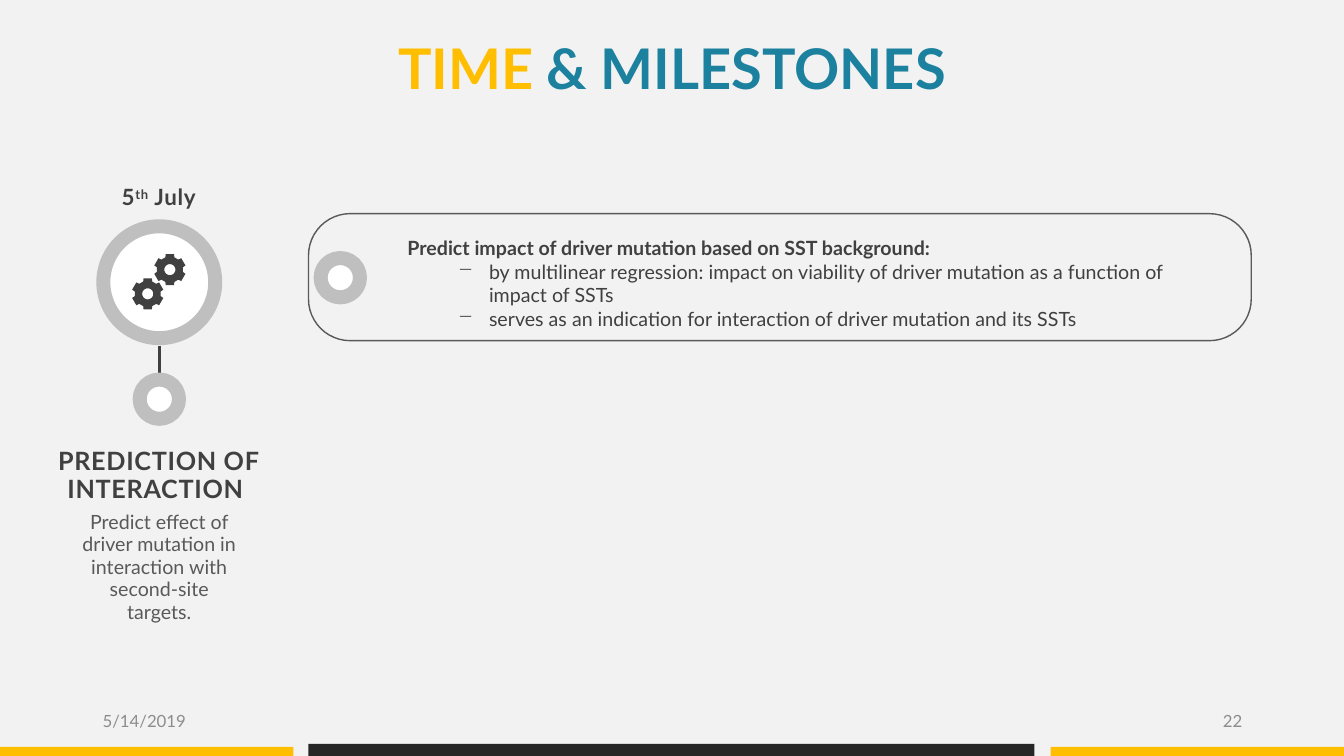
from math import cos, radians, sin

from lxml import etree
from pptx import Presentation
from pptx.dml.color import RGBColor
from pptx.enum.shapes import MSO_CONNECTOR as Connector, MSO_SHAPE as Shape
from pptx.enum.text import MSO_ANCHOR as Anchor, MSO_AUTO_SIZE as AutoSize, PP_ALIGN as Align
from pptx.oxml.ns import qn
from pptx.util import Inches, Pt

YELLOW, BLUE, BLACK = "FFBE00", "1C819E", "262626"
DARK, MID, MUTED, RING, WHITE = "404040", "595959", "8C8C8C", "BFBFBF", "FFFFFF"
MILESTONE_X = 1.58


def rgb(value):
    return RGBColor.from_string(value)


def paint(shape, fill=None, line=None, width=1):
    shape.shadow.inherit = False
    if fill:
        shape.fill.solid()
        shape.fill.fore_color.rgb = rgb(fill)
    else:
        shape.fill.background()
    if line:
        shape.line.color.rgb = rgb(line)
        shape.line.width = Pt(width)
    else:
        shape.line.fill.background()


def prepare(frame, margins=(0, 0), anchor=Anchor.TOP):
    frame.word_wrap = True
    frame.auto_size = AutoSize.NONE
    frame.vertical_anchor = anchor
    frame.margin_left = frame.margin_right = Inches(margins[0])
    frame.margin_top = frame.margin_bottom = Inches(margins[1])


def write(paragraph, text, size=14, color=DARK, bold=False, align=Align.LEFT,
          leading=None, tracking=0, raised=False):
    paragraph.alignment = align
    if leading:
        paragraph.line_spacing = leading
    run = paragraph.add_run()
    run.text = text
    run.font.name = "Lato"
    run.font.size = Pt(size)
    run.font.bold = bold
    run.font.color.rgb = rgb(color)
    properties = run._r.get_or_add_rPr()
    if tracking:
        properties.set("spc", str(int(tracking * 100)))
    if raised:
        properties.set("baseline", "30000")


def add_text(slide, box, text="", margins=(0, 0), anchor=Anchor.TOP, **style):
    frame = slide.shapes.add_textbox(*map(Inches, box)).text_frame
    prepare(frame, margins, anchor)
    if text:
        write(frame.paragraphs[0], text, **style)
    return frame


def add_bullet(frame, text):
    paragraph = frame.add_paragraph()
    properties = paragraph._p.get_or_add_pPr()
    properties.set("marL", str(Inches(0.81)))
    properties.set("indent", str(Inches(-0.31)))
    etree.SubElement(properties, qn("a:buChar")).set("char", "−")
    write(paragraph, text)


def add_bar(slide, left, top, width, color):
    bar = slide.shapes.add_shape(Shape.RECTANGLE, Inches(left), Inches(top),
                                 Inches(width), Inches(7.5 - top))
    paint(bar, color)


def add_ring(slide, x, y, diameter):
    ring = slide.shapes.add_shape(Shape.OVAL, Inches(x - diameter / 2), Inches(y - diameter / 2),
                                  Inches(diameter), Inches(diameter))
    paint(ring, WHITE, RING, 10)


def add_stem(slide, x, top, bottom):
    stem = slide.shapes.add_connector(Connector.STRAIGHT, Inches(x), Inches(top),
                                      Inches(x), Inches(bottom))
    stem.line.color.rgb = rgb(DARK)
    stem.line.width = Pt(2)
    etree.SubElement(stem._element.spPr, qn("a:effectLst"))


def add_gear(slide, x, y):
    def point(radius, degrees):
        angle = radians(degrees)
        return Inches(x + radius * sin(angle)), Inches(y - radius * cos(angle))

    tooth = [(0.13, -20), (0.16, -15), (0.16, 15), (0.13, 20)]
    outline = [point(radius, turn + offset)
               for turn in range(0, 360, 60) for radius, offset in tooth]
    hole = [point(0.055, turn) for turn in range(0, 360, 15)]
    gear = slide.shapes.build_freeform(*outline[0])
    gear.add_line_segments(outline[1:], close=True)
    gear.move_to(*hole[0])
    gear.add_line_segments(hole[1:], close=True)
    paint(gear.convert_to_shape(), DARK)


def add_title(slide):
    title = slide.shapes.title
    title.left, title.top, title.width, title.height = map(Inches, (0.78, 0.33, 11.77, 0.67))
    prepare(title.text_frame)
    heading = title.text_frame.paragraphs[0]
    for text, color in [("TIME ", YELLOW), ("& MILESTONES", BLUE)]:
        write(heading, text, size=40, color=color, bold=True, align=Align.CENTER)


def add_milestone(slide):
    add_stem(slide, MILESTONE_X, 3.43, 3.83)
    add_ring(slide, MILESTONE_X, 3.96, 0.39)
    add_ring(slide, MILESTONE_X, 2.8, 1.11)
    add_gear(slide, 1.685, 2.675)
    add_gear(slide, 1.465, 2.915)

    heading = dict(color=DARK, bold=True, align=Align.CENTER, leading=Pt(20), tracking=0.5)
    date = add_text(slide, (1.03, 1.81, 1.09, 0.26)).paragraphs[0]
    for text, raised in [("5", False), ("th", True), (" July", False)]:
        write(date, text, size=16, raised=raised, **heading)
    add_text(slide, (0.39, 4.44, 2.37, 0.56), "PREDICTION OF INTERACTION ", size=18, **heading)
    add_text(slide, (0.8, 5.07, 1.56, 1.12),
             "Predict effect of driver mutation in interaction with second-site targets.",
             color=MID, align=Align.CENTER, leading=Pt(16))


def add_details(slide):
    panel = slide.shapes.add_shape(Shape.ROUNDED_RECTANGLE,
                                   *map(Inches, (3.06, 2.12, 9.35, 1.26)))
    panel.adjustments[0] = 0.328
    paint(panel, line=MID)
    details = add_text(slide, (4.04, 2.22, 7.72, 1.06),
                       "Predict impact of driver mutation based on SST background:",
                       anchor=Anchor.MIDDLE, bold=True, leading=1.5)
    add_bullet(details, "by multilinear regression: impact on viability of driver mutation "
                        "as a function of impact of SSTs")
    add_bullet(details, "serves as an indication for interaction of driver mutation and its SSTs")
    add_ring(slide, 3.375, 2.755, 0.39)


def add_footer(slide):
    add_bar(slide, 0, 7.41, 2.91, YELLOW)
    add_bar(slide, 3.06, 7.38, 7.2, BLACK)
    add_bar(slide, 10.42, 7.41, 2.91, YELLOW)
    for left, text, align in [(0.92, "5/14/2019", Align.LEFT), (9.42, "22", Align.RIGHT)]:
        add_text(slide, (left, 6.95, 3, 0.4), text, margins=(0.1, 0.05),
                 anchor=Anchor.MIDDLE, size=12, color=MUTED, align=align)


def main():
    deck = Presentation()
    deck.slide_width, deck.slide_height = Inches(13.33), Inches(7.5)
    slide = deck.slides.add_slide(deck.slide_layouts[5])
    slide.background.fill.solid()
    slide.background.fill.fore_color.rgb = rgb("F2F2F2")
    add_title(slide)
    add_milestone(slide)
    add_details(slide)
    add_footer(slide)
    deck.save("out.pptx")


if __name__ == "__main__":
    main()
